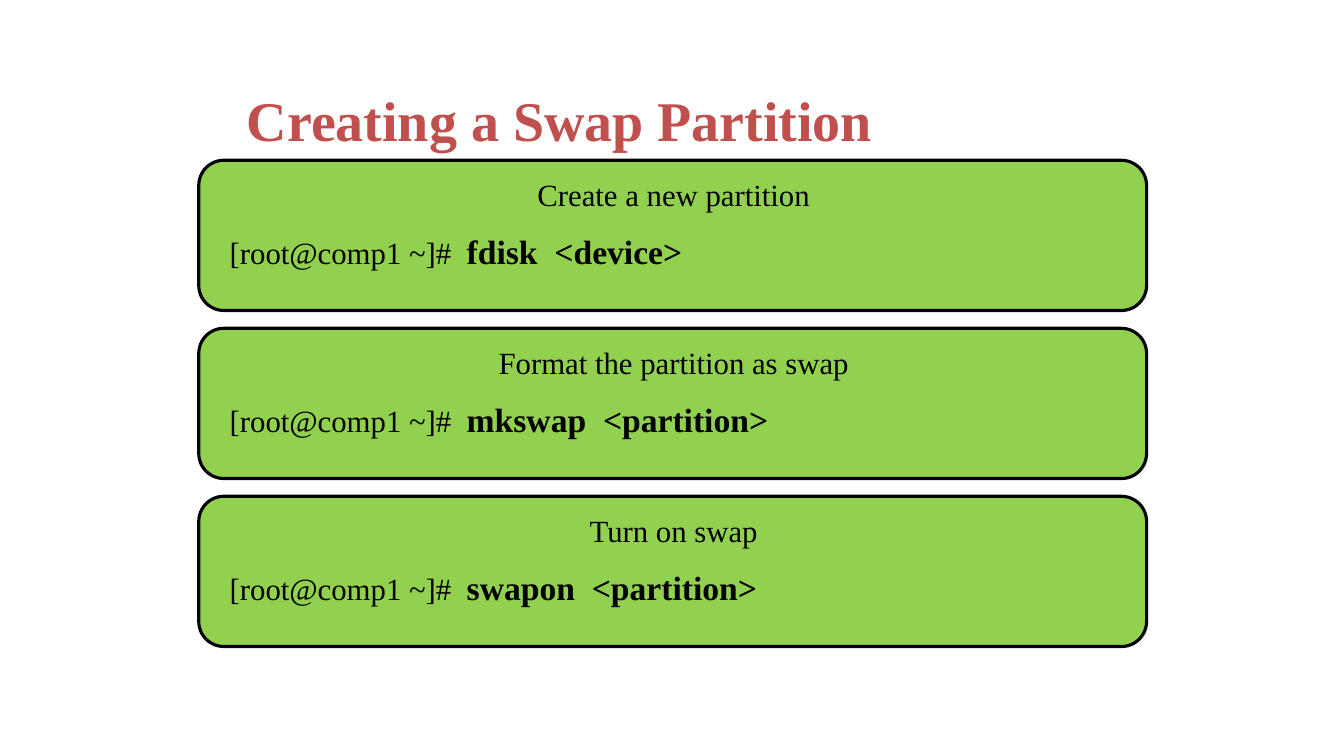
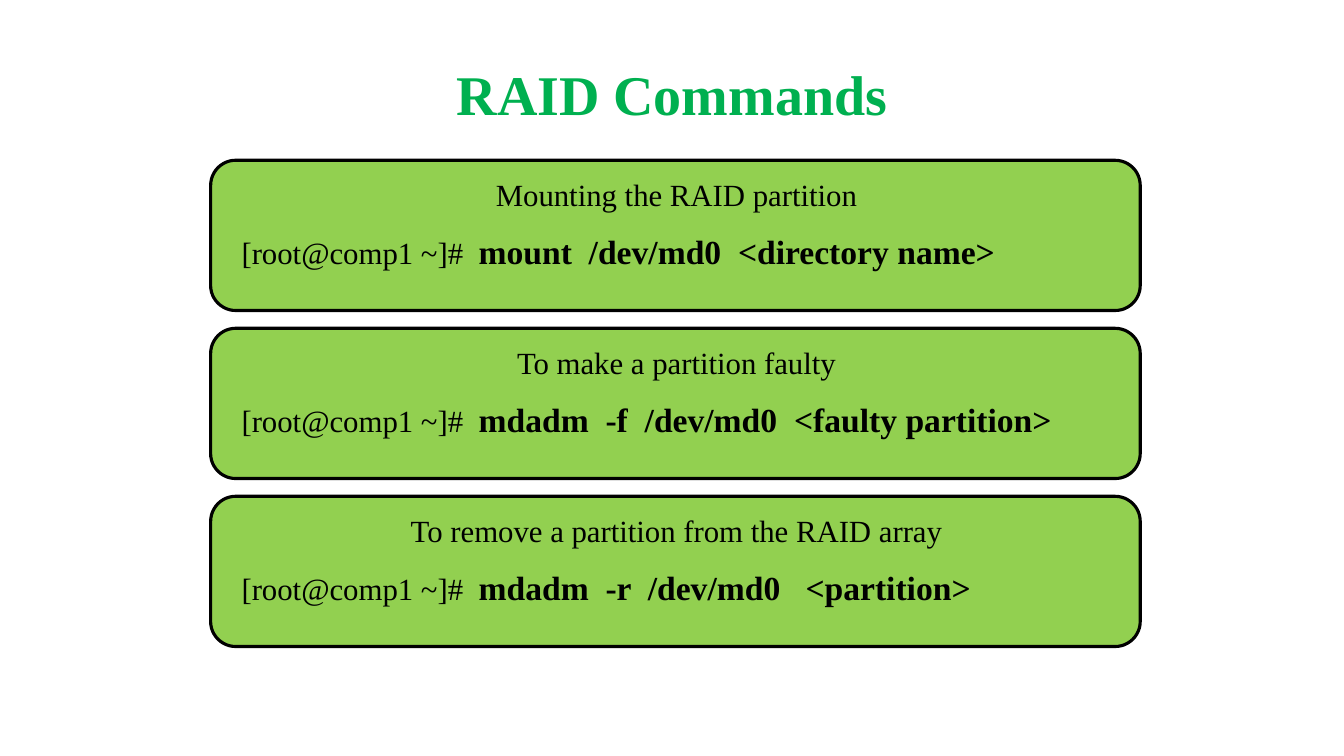
from pptx import Presentation
from pptx.dml.color import RGBColor
from pptx.enum import shapes, text
from pptx.util import Pt

COLORS = {
    "card": "92D050",
    "ink": "000000",
    "swap": "C0504D",
    "raid": "00B050",
}
FONT = "Times New Roman"
PROMPT = "[root@comp1 ~]#  "
CARD_TOP, CARD_HEIGHT, CARD_PITCH = 114.5, 107.3, 121 - 1
INSET = 14.4

SLIDES = [
    {
        "title": "Creating a Swap Partition",
        "color": "swap",
        "title_box": (61.2, 33.1, 676.8, 103.7),
        "left": 142,
        "width": 677,
        "steps": [
            ("Create a new partition", "fdisk  <device>"),
            ("Format the partition as swap", "mkswap  <partition>"),
            ("Turn on swap", "swapon  <partition>"),
        ],
    },
    {
        "title": "RAID Commands",
        "color": "raid",
        "title_box": (48, 21.6, 864, 90),
        "left": 150.5,
        "width": 664,
        "steps": [
            ("Mounting the RAID partition", "mount  /dev/md0  <directory name>"),
            ("To make a partition faulty", "mdadm  -f  /dev/md0  <faulty partition>"),
            ("To remove a partition from the RAID array", "mdadm  -r  /dev/md0   <partition>"),
        ],
    },
]


def rgb(name):
    return RGBColor.from_string(COLORS[name])


def style_font(font, size, color="ink", bold=False):
    font.name = FONT
    font.size = Pt(size)
    font.bold = bold
    font.color.rgb = rgb(color)


def add_title(slide, wording, color, box):
    title = slide.shapes.title
    title.left, title.top, title.width, title.height = map(Pt, box)
    title.text_frame.text = wording
    title.text_frame.vertical_anchor = text.MSO_ANCHOR.MIDDLE
    heading = title.text_frame.paragraphs[0]
    heading.alignment = text.PP_ALIGN.CENTER
    style_font(heading.font, 40, color, True)


def add_line_of_text(card, left, top, width, height):
    band = card.shapes.add_textbox(Pt(left), Pt(top), Pt(width), Pt(height))
    band.fill.solid()
    band.fill.fore_color.rgb = rgb("card")
    band.text_frame.word_wrap = True
    band.text_frame.auto_size = text.MSO_AUTO_SIZE.SHAPE_TO_FIT_TEXT
    return band.text_frame.paragraphs[0]


def add_command_card(slide, left, top, width, caption, command):
    card = slide.shapes.add_group_shape()
    outline = card.shapes.add_shape(
        shapes.MSO_SHAPE.ROUNDED_RECTANGLE, Pt(left), Pt(top), Pt(width), Pt(CARD_HEIGHT)
    )
    outline.shadow.inherit = False
    outline.fill.solid()
    outline.fill.fore_color.rgb = rgb("card")
    outline.line.color.rgb = rgb("ink")
    outline.line.width = Pt(2.25)

    inner_width = width - 2 * INSET + 1.4
    heading = add_line_of_text(card, left + INSET, top + 7.6, inner_width, 34)
    heading.text = caption
    heading.alignment = text.PP_ALIGN.CENTER
    style_font(heading.font, 22)

    shell_line = add_line_of_text(card, left + INSET + 0.6, top + 45.5, inner_width, 37.4)
    shell_line.alignment = text.PP_ALIGN.LEFT
    shell_line.line_spacing = Pt(30)
    for wording, size, bold in ((PROMPT, 22, False), (command, 24, True)):
        run = shell_line.add_run()
        run.text = wording
        style_font(run.font, size, bold=bold)


def main():
    deck = Presentation()
    deck.slide_width, deck.slide_height = Pt(960), Pt(540)
    title_only = deck.slide_layouts[5]
    for content in SLIDES:
        slide = deck.slides.add_slide(title_only)
        add_title(slide, content["title"], content["color"], content["title_box"])
        for row, (caption, command) in enumerate(content["steps"]):
            top = CARD_TOP + row * CARD_PITCH
            add_command_card(slide, content["left"], top, content["width"], caption, command)
    deck.save("out.pptx")


if __name__ == "__main__":
    main()
